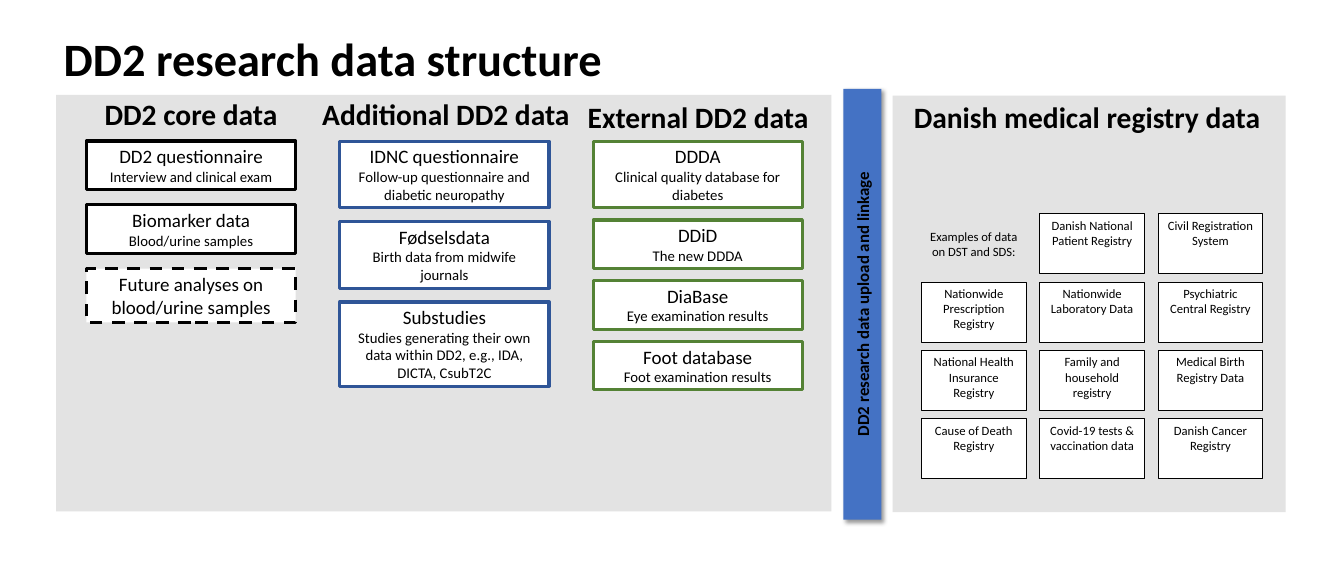
import dataclasses
import itertools

import lxml.etree
import pptx
import pptx.dml.color
import pptx.enum.dml
import pptx.enum.shapes
import pptx.enum.text
import pptx.oxml
import pptx.oxml.ns
import pptx.shapes.autoshape
import pptx.shapes.shapetree
import pptx.slide
import pptx.text.text
import pptx.util

RGBColor = pptx.dml.color.RGBColor
Inches = pptx.util.Inches
Pt = pptx.util.Pt
Align = pptx.enum.text.PP_ALIGN
Anchor = pptx.enum.text.MSO_ANCHOR
Fit = pptx.enum.text.MSO_AUTO_SIZE
qn = pptx.oxml.ns.qn

BLACK = RGBColor(0x00, 0x00, 0x00)
WHITE = RGBColor(0xFF, 0xFF, 0xFF)
GREY = RGBColor(0xD9, 0xD9, 0xD9)
NAVY = RGBColor(0x2F, 0x55, 0x97)
BLUE = RGBColor(0x44, 0x72, 0xC4)
GREEN = RGBColor(0x54, 0x82, 0x35)
FONT = "Calibri"


@dataclasses.dataclass
class Box:
    high: float
    name: str
    note: str = ""
    dash: bool = False


@dataclasses.dataclass
class Group:
    head: str
    place: tuple[float, float, float]
    left: float
    gap: float
    color: RGBColor
    boxes: list[Box]


GROUPS = [
    Group("DD2 core data", (1.28, 1.22, 2.51), 1.14, 0.2, BLACK, [
        Box(0.64, "DD2 questionnaire", "Interview and clinical exam"),
        Box(0.64, "Biomarker data", "Blood/urine samples"),
        Box(0.71, "Future analyses on blood/urine samples", dash=True),
    ]),
    Group("Additional DD2 data", (4.15, 1.22, 3.5), 4.48, 0.18, NAVY, [
        Box(0.88, "IDNC questionnaire", "Follow-up questionnaire and diabetic neuropathy"),
        Box(0.88, "Fødselsdata", "Birth data from midwife journals"),
        Box(1.11, "Substudies",
            "Studies generating their own data within DD2, e.g., IDA, DICTA, CsubT2C"),
    ]),
    Group("External DD2 data", (7.65, 1.25, 3.15), 7.82, 0.16, GREEN, [
        Box(0.88, "DDDA", "Clinical quality database for diabetes"),
        Box(0.64, "DDiD", "The new DDDA"),
        Box(0.64, "DiaBase", "Eye examination results"),
        Box(0.64, "Foot database", "Foot examination results"),
    ]),
]

# The first cell of the grid holds the caption
GRID = [
    "", "Danish National Patient Registry", "Civil Registration System",
    "Nationwide Prescription Registry", "Nationwide Laboratory Data",
    "Psychiatric Central Registry",
    "National Health Insurance Registry", "Family and household registry",
    "Medical Birth Registry Data",
    "Cause of Death Registry", "Covid-19 tests & vaccination data",
    "Danish Cancer Registry",
]


def write(frame: pptx.text.text.TextFrame, *lines: str, sizes: tuple[int, ...],
          bold: bool = False, align: Align = Align.CENTER,
          anchor: Anchor = Anchor.TOP, wrap: bool = True,
          fit: Fit = Fit.SHAPE_TO_FIT_TEXT) -> None:
    """Fill a text frame with one paragraph per line, each in its own size."""
    frame.word_wrap = wrap
    frame.auto_size = fit
    frame.vertical_anchor = anchor
    for i, (line, size) in enumerate(zip(lines, sizes)):
        para = frame.add_paragraph() if i else frame.paragraphs[0]
        para.alignment = align
        run = para.add_run()
        run.text = line
        run.font.name = FONT
        run.font.size = Pt(size)
        run.font.bold = bold
        run.font.color.rgb = BLACK


def rect(tree: pptx.shapes.shapetree.SlideShapes, left: float, top: float,
         wide: float, high: float, fill: RGBColor, line: RGBColor | None = None,
         weight: float = 1) -> pptx.shapes.autoshape.Shape:
    shape = tree.add_shape(pptx.enum.shapes.MSO_SHAPE.RECTANGLE, Inches(left),
                           Inches(top), Inches(wide), Inches(high))
    shape.shadow.inherit = False
    shape.fill.solid()
    shape.fill.fore_color.rgb = fill
    if line is None:
        shape.line.fill.background()
    else:
        shape.line.color.rgb = line
        shape.line.width = Pt(weight)
    return shape


def label(tree: pptx.shapes.shapetree.SlideShapes, text: str, left: float, top: float,
          wide: float, high: float, size: int, **style) -> None:
    box = tree.add_textbox(Inches(left), Inches(top), Inches(wide), Inches(high))
    write(box.text_frame, text, sizes=(size,), **style)


def panel(tree: pptx.shapes.shapetree.SlideShapes, left: float, top: float,
          wide: float) -> None:
    """Draw a see-through grey backdrop."""
    shape = rect(tree, left, top, wide, 5.49, GREY)
    color = shape._element.spPr.find(qn("a:solidFill"))[0]
    lxml.etree.SubElement(color, qn("a:alpha"), val="73000")


def title(slide: pptx.slide.Slide) -> None:
    head = slide.shapes.title
    head.left, head.top = Inches(0.74), Inches(0.35)
    head.width, head.height = Inches(14.01), Inches(0.93)
    write(head.text_frame, "DD2 research data structure", sizes=(44,), bold=True,
          align=Align.LEFT, anchor=Anchor.MIDDLE, fit=Fit.NONE)
    head.text_frame.paragraphs[0].line_spacing = 0.9


def column(tree: pptx.shapes.shapetree.SlideShapes, group: Group) -> None:
    label(tree, group.head, *group.place, 0.57, 28, bold=True, align=Align.LEFT,
          wrap=False)
    top = 1.86
    for box in group.boxes:
        shape = rect(tree, group.left, top, 2.76, box.high, WHITE, group.color, 3)
        if box.dash:
            shape.line.dash_style = pptx.enum.dml.MSO_LINE.DASH
        lines = (box.name, box.note) if box.note else (box.name,)
        write(shape.text_frame, *lines, sizes=(18, 14))
        top += box.high + group.gap


def bar(tree: pptx.shapes.shapetree.SlideShapes) -> None:
    """Draw the upright linkage bar with its shadow."""
    shape = rect(tree, 11.12, 1.17, 0.5, 5.68, BLUE)
    write(shape.text_frame, "DD2 research data upload and linkage", sizes=(16,),
          bold=True, anchor=Anchor.MIDDLE, fit=Fit.NONE)
    shape.text_frame.paragraphs[0].space_after = Pt(12)
    shape.text_frame._txBody.bodyPr.set("vert", "vert270")
    glow = shape._element.spPr.find(qn("a:effectLst"))
    shade = lxml.etree.SubElement(glow, qn("a:outerShdw"), blurRad=str(Pt(4)),
                                  dist=str(Pt(3)), dir="2700000", algn="tl",
                                  rotWithShape="0")
    color = lxml.etree.SubElement(shade, qn("a:srgbClr"), val=str(BLACK))
    lxml.etree.SubElement(color, qn("a:alpha"), val="40000")


def grid(tree: pptx.shapes.shapetree.SlideShapes) -> None:
    label(tree, "Danish medical registry data", 11.95, 1.26, 4.82, 0.57, 28,
          bold=True, align=Align.LEFT, wrap=False)
    label(tree, "Examples of data on DST and SDS:", 12.15, 2.97, 1.38, 0.5, 12)
    for (row, col), name in zip(itertools.product(range(4), range(3)), GRID):
        if name:
            shape = rect(tree, 12.15 + 1.56 * col, 2.82 + 0.9 * row, 1.38, 0.79,
                         WHITE, BLACK)
            write(shape.text_frame, name, sizes=(12,))


def main() -> None:
    deck = pptx.Presentation()
    deck.slide_width, deck.slide_height = Inches(17.72), Inches(7.5)
    slide = deck.slides.add_slide(deck.slide_layouts.get_by_name("Title Only"))
    tree = slide.shapes
    panel(tree, 11.77, 1.26, 5.18)
    panel(tree, 0.74, 1.25, 10.22)
    title(slide)
    for group in GROUPS:
        column(tree, group)
    bar(tree)
    grid(tree)
    deck.save("out.pptx")


if __name__ == "__main__":
    main()
